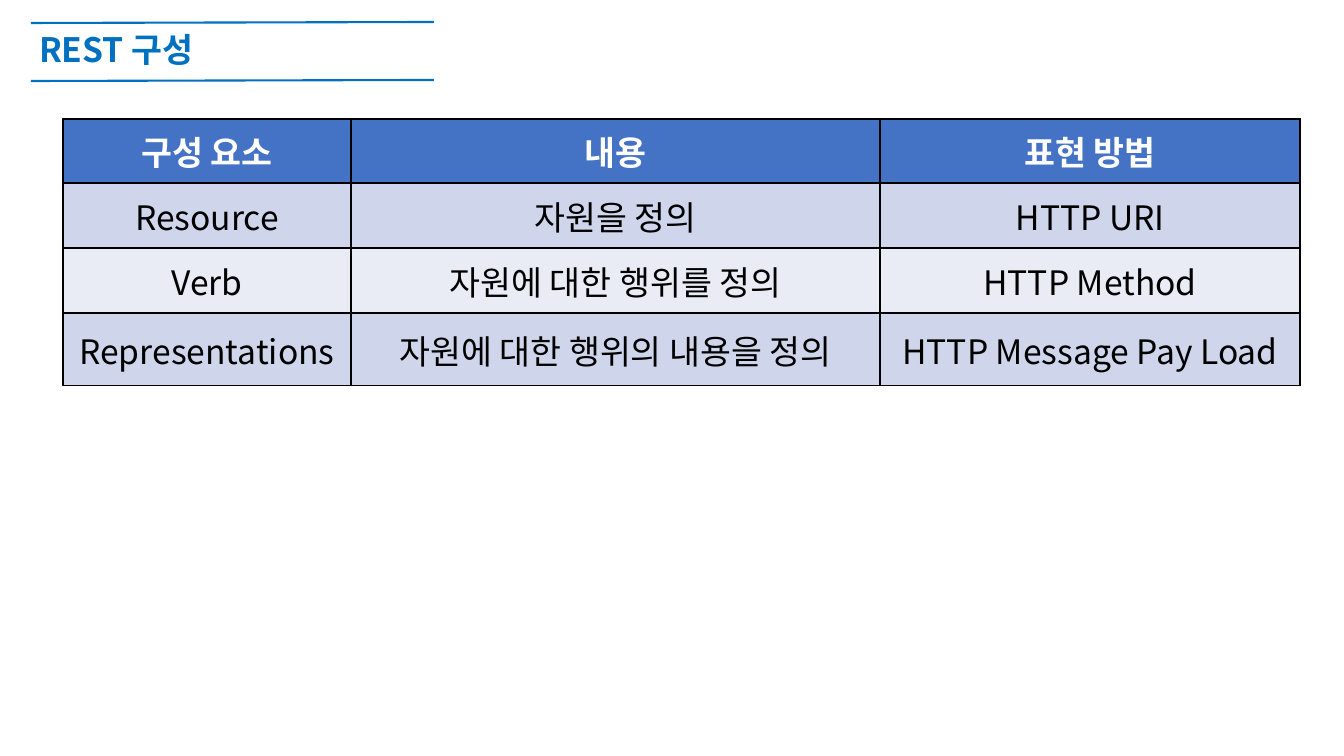
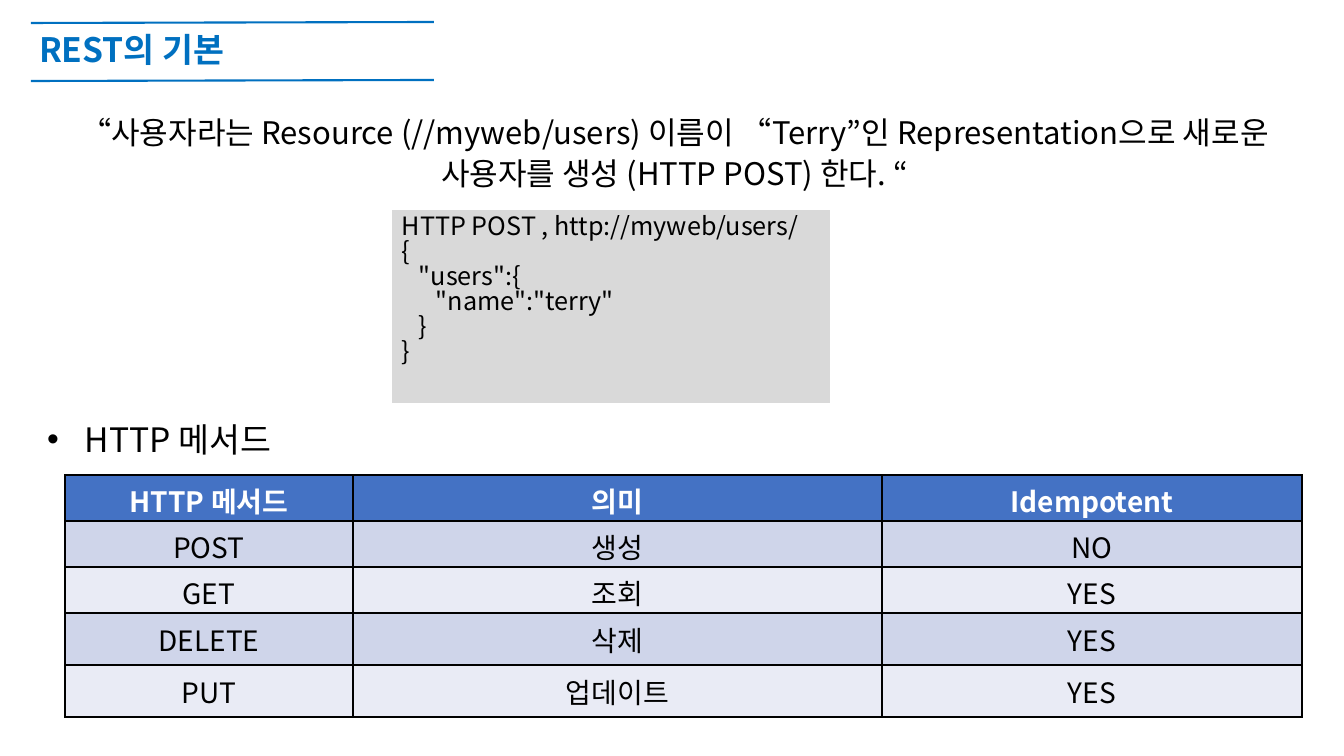
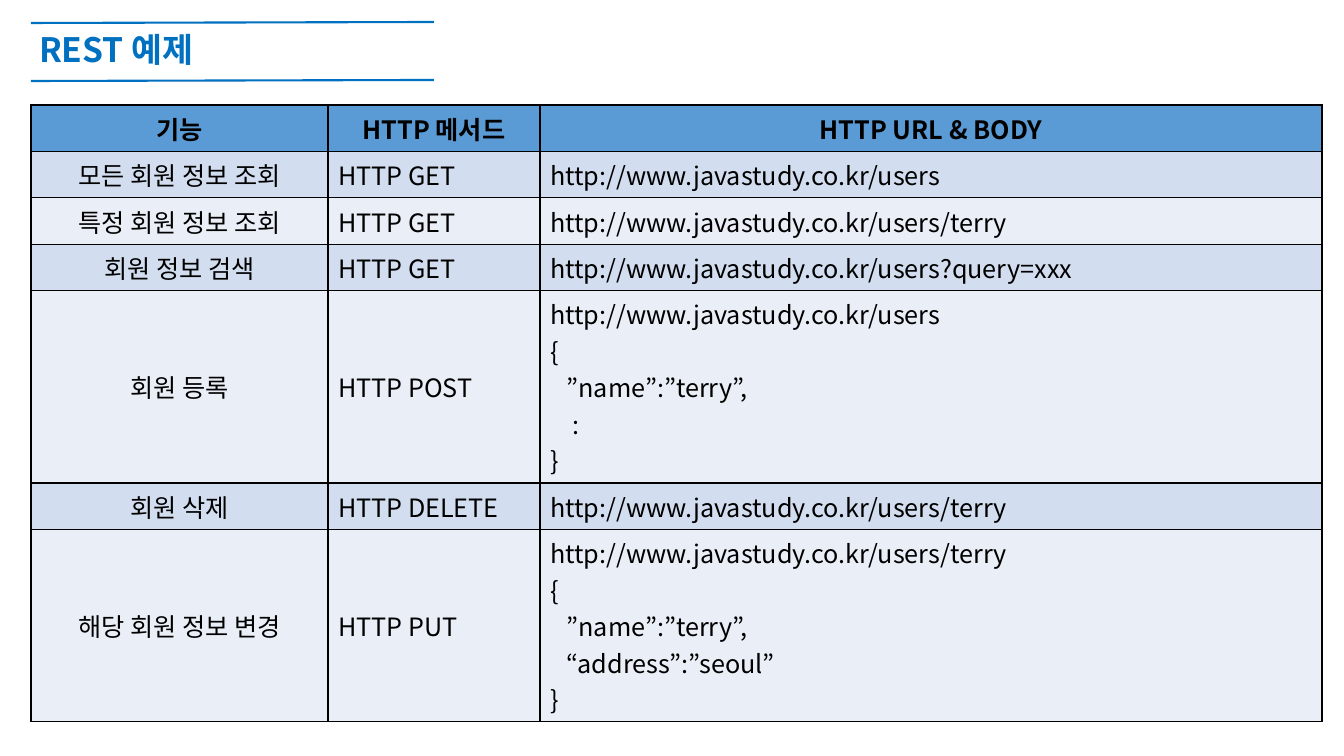
from dataclasses import dataclass

from lxml.etree import SubElement
from pptx import Presentation
from pptx.dml.color import RGBColor
from pptx.enum.shapes import MSO_CONNECTOR, MSO_SHAPE
from pptx.enum.text import MSO_ANCHOR, MSO_AUTO_SIZE, PP_ALIGN
from pptx.oxml.ns import qn
from pptx.util import Pt

EMU_PER_PX = 914400 / 100.8
TITLE_ONLY, TITLE_AND_CONTENT = 5, 1
LEFT, CENTER = PP_ALIGN.LEFT, PP_ALIGN.CENTER


@dataclass(frozen=True)
class Theme:
    font: str = "Noto Sans CJK KR"
    accent: str = "0070C0"
    ink: str = "000000"
    paper: str = "FFFFFF"
    code_fill: str = "D9D9D9"
    large: float = 24
    quote: float = 22.2
    medium: float = 20
    small: float = 18
    rule_width: float = 1.5
    border_width: float = 1


@dataclass(frozen=True)
class TableLook:
    header_fill: str
    header_ink: str
    bands: tuple


THEME = Theme()
INDIGO = TableLook("4472C4", THEME.paper, ("CFD5EA", "E9EBF5"))
SKY = TableLook("5B9BD5", THEME.ink, ("D2DEEF", "EAEFF7"))

SLIDE_SIZE = (1344, 756)
TITLE_BOX = (29, 24, 1291, 55)
TITLE_RULES = [(31, 23, 434, 22), (31, 81, 434, 80)]
CELL_MARGIN = 5

COMPONENTS = {
    "at": (63, 119), "look": INDIGO, "size": THEME.large,
    "columns": (288, 529, 420), "aligns": (CENTER, CENTER, CENTER),
    "heights": (64, 65, 65, 73),
    "rows": [
        ("구성 요소", "내용", "표현 방법"),
        ("Resource", "자원을 정의", "HTTP URI"),
        ("Verb", "자원에 대한 행위를 정의", "HTTP Method"),
        ("Representations", "자원에 대한 행위의 내용을 정의", "HTTP Message Pay Load"),
    ],
}

METHODS = {
    "at": (65, 475), "look": INDIGO, "size": THEME.medium,
    "columns": (288, 529, 420), "aligns": (CENTER, CENTER, CENTER),
    "heights": (46, 46, 46, 52, 52),
    "rows": [
        ("HTTP 메서드", "의미", "Idempotent"),
        ("POST", "생성", "NO"),
        ("GET", "조회", "YES"),
        ("DELETE", "삭제", "YES"),
        ("PUT", "업데이트", "YES"),
    ],
}

USERS_URL = "http://www.javastudy.co.kr/users"
EXAMPLES = {
    "at": (31, 105), "look": SKY, "size": THEME.small,
    "columns": (297, 212, 782), "aligns": (CENTER, LEFT, LEFT),
    "heights": (46, 46, 46, 46, 192, 46, 192),
    "rows": [
        ("기능", "HTTP 메서드", "HTTP URL & BODY"),
        ("모든 회원 정보 조회", "HTTP GET", USERS_URL),
        ("특정 회원 정보 조회", "HTTP GET", f"{USERS_URL}/terry"),
        ("회원 정보 검색", "HTTP GET", f"{USERS_URL}?query=xxx"),
        ("회원 등록", "HTTP POST",
         f"{USERS_URL}\n{{\n   ”name”:”terry”,\n    :\n}}"),
        ("회원 삭제", "HTTP DELETE", f"{USERS_URL}/terry"),
        ("해당 회원 정보 변경", "HTTP PUT",
         f"{USERS_URL}/terry\n{{\n   ”name”:”terry”,\n   “address”:”seoul”\n}}"),
    ],
}

QUOTE_BOX = (29, 105, 1291, 109)
QUOTE = ("“사용자라는 Resource (//myweb/users) 이름이 “Terry”인 "
         "Representation으로 새로운 사용자를 생성 (HTTP POST) 한다. “")
CODE_BOX = (392, 210, 438, 193)
CODE = """HTTP POST , http://myweb/users/
{
   "users":{
      "name":"terry"
   }
}"""
METHODS_HEADING_BOX = (37, 402, 1291, 109)
METHODS_HEADING = "HTTP 메서드"
BULLET_INDENT = 25


def px(*lengths):
    return [round(length * EMU_PER_PX) for length in lengths]


def rgb(color):
    return RGBColor.from_string(color)


def place(shape, box):
    shape.left, shape.top, shape.width, shape.height = px(*box)


def write(frame, text, size, color=THEME.ink, bold=False, align=LEFT, spacing=1.0):
    """Fill a text frame, one paragraph a line, all in one style."""
    frame.text = text
    frame.word_wrap = True
    for paragraph in frame.paragraphs:
        paragraph.alignment = align
        paragraph.line_spacing = spacing
        paragraph.space_before = Pt(0)
        font = paragraph.font
        font.name, font.size, font.bold = THEME.font, Pt(size), bold
        font.color.rgb = rgb(color)
        defaults = paragraph._p.pPr.find(qn("a:defRPr"))
        SubElement(defaults, qn("a:ea"), typeface=THEME.font)


def add_bullet(paragraph):
    properties = paragraph._p.get_or_add_pPr()
    indent, = px(BULLET_INDENT)
    properties.set("marL", str(indent))
    properties.set("indent", str(-indent))
    SubElement(properties, qn("a:buChar"), char="•")


def add_title_rules(slide, master):
    """Draw the two title rules and hand them to the master."""
    for ends in TITLE_RULES:
        rule = slide.shapes.add_connector(MSO_CONNECTOR.STRAIGHT, *px(*ends))
        rule.line.color.rgb = rgb(THEME.accent)
        rule.line.width = Pt(THEME.rule_width)
        SubElement(rule._element.spPr, qn("a:effectLst"))
        master.shapes._spTree.append(rule._element)


def add_slide(deck, layout, title):
    slide = deck.slides.add_slide(deck.slide_layouts[layout])
    heading = slide.shapes.title
    place(heading, TITLE_BOX)
    write(heading.text_frame, title, THEME.large, THEME.accent, bold=True, spacing=0.9)
    heading.text_frame.auto_size = MSO_AUTO_SIZE.NONE
    heading.text_frame.vertical_anchor = MSO_ANCHOR.MIDDLE
    return slide


def add_borders(cell):
    properties = cell._tc.get_or_add_tcPr()
    for side in ("lnL", "lnR", "lnT", "lnB"):
        line = SubElement(properties, qn(f"a:{side}"), w=str(Pt(THEME.border_width)))
        fill = SubElement(line, qn("a:solidFill"))
        SubElement(fill, qn("a:srgbClr"), val=THEME.ink)


def add_table(slide, content):
    look, heights, columns = content["look"], content["heights"], content["columns"]
    rows = content["rows"]
    box = px(*content["at"], sum(columns), sum(heights))
    table = slide.shapes.add_table(len(rows), len(columns), *box).table
    table.horz_banding = False
    for column, width in zip(table.columns, columns):
        column.width, = px(width)
    tight = content["size"] * 1.4 * 1.45 + 2 * CELL_MARGIN
    for r, (texts, height) in enumerate(zip(rows, heights)):
        table.rows[r].height, = px(height)
        header = r == 0
        fill = look.header_fill if header else look.bands[(r - 1) % 2]
        ink = look.header_ink if header else THEME.ink
        bottom = CELL_MARGIN if height >= tight - 1 else 0
        for c, text in enumerate(texts):
            cell = table.cell(r, c)
            add_borders(cell)
            cell.fill.solid()
            cell.fill.fore_color.rgb = rgb(fill)
            cell.vertical_anchor = MSO_ANCHOR.MIDDLE
            cell.margin_top, cell.margin_bottom = px(CELL_MARGIN, bottom)
            align = CENTER if header else content["aligns"][c]
            write(cell.text_frame, text, content["size"], ink, header, align)


def add_code(slide):
    code = slide.shapes.add_shape(MSO_SHAPE.RECTANGLE, *px(*CODE_BOX))
    code.shadow.inherit = False
    code.fill.solid()
    code.fill.fore_color.rgb = rgb(THEME.code_fill)
    code.line.fill.background()
    code.text_frame.vertical_anchor = MSO_ANCHOR.TOP
    write(code.text_frame, CODE, THEME.small, spacing=0.83)


def add_methods_heading(slide):
    heading = slide.placeholders[1]
    place(heading, METHODS_HEADING_BOX)
    add_bullet(heading.text_frame.paragraphs[0])
    write(heading.text_frame, METHODS_HEADING, THEME.large, spacing=1.3)
    heading.text_frame.auto_size = MSO_AUTO_SIZE.NONE


def main():
    deck = Presentation()
    deck.slide_width, deck.slide_height = px(*SLIDE_SIZE)

    components = add_slide(deck, TITLE_ONLY, "REST 구성")
    add_title_rules(components, deck.slide_master)
    add_table(components, COMPONENTS)

    basics = add_slide(deck, TITLE_AND_CONTENT, "REST의 기본")
    add_methods_heading(basics)
    add_code(basics)
    quote = basics.shapes.add_textbox(*px(*QUOTE_BOX))
    write(quote.text_frame, QUOTE, THEME.quote, align=CENTER, spacing=1.1)
    add_table(basics, METHODS)

    examples = add_slide(deck, TITLE_ONLY, "REST 예제")
    add_table(examples, EXAMPLES)

    deck.save("out.pptx")


if __name__ == "__main__":
    main()
